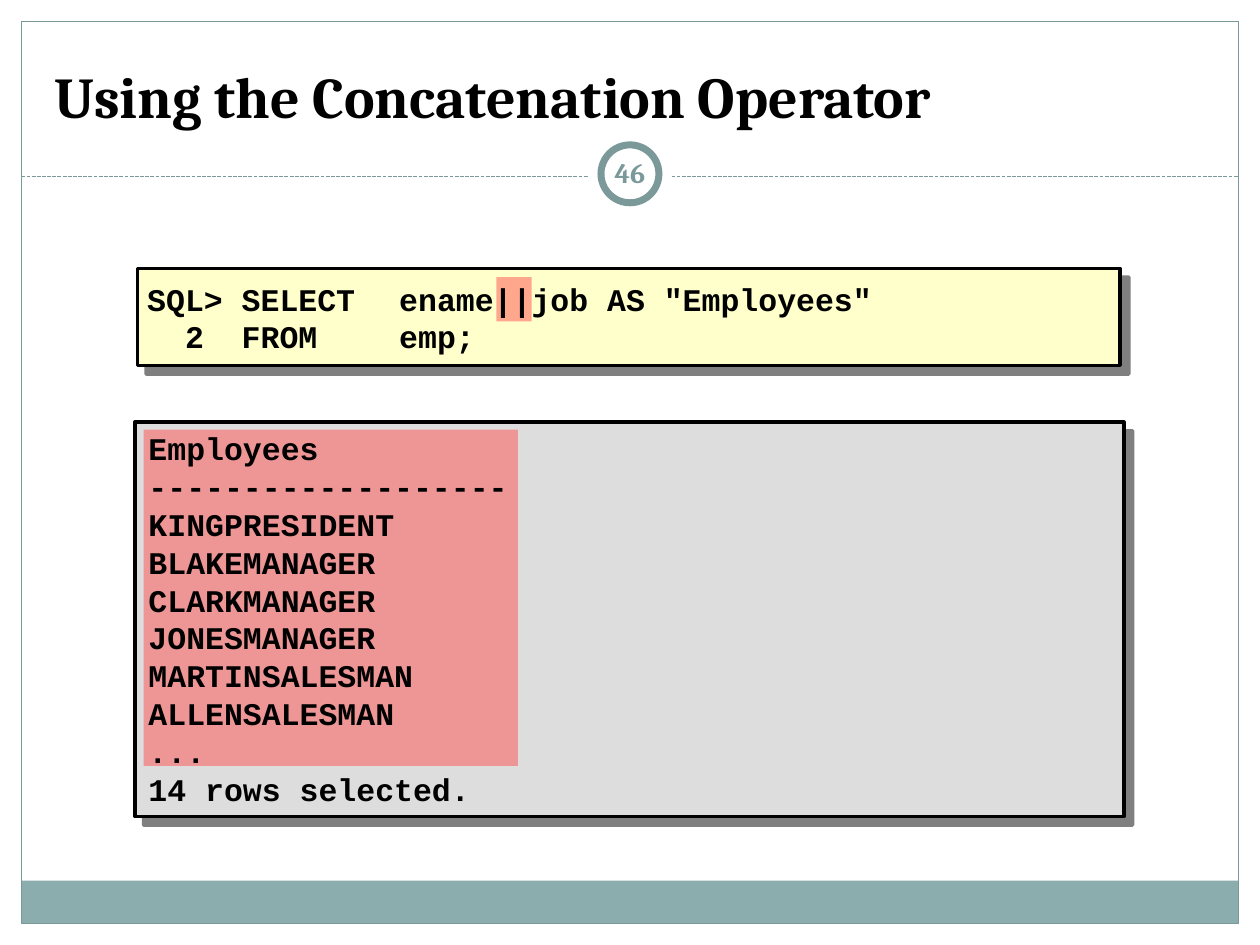
from lxml.etree import SubElement
from pptx import Presentation
from pptx.dml.color import RGBColor
from pptx.enum.dml import MSO_LINE
from pptx.enum.shapes import MSO_CONNECTOR, MSO_SHAPE
from pptx.enum.text import MSO_ANCHOR, PP_ALIGN
from pptx.oxml.ns import qn
from pptx.util import Inches, Pt

TITLE = "Using the Concatenation Operator"
NUMBER = "46"
QUERY = ['SQL> SELECT\tename||job AS "Employees"', "  2  FROM\temp;"]
RESULT = [
    "Employees", "-" * 19, "KINGPRESIDENT", "BLAKEMANAGER", "CLARKMANAGER",
    "JONESMANAGER", "MARTINSALESMAN", "ALLENSALESMAN", "...", "14 rows selected.",
]
COLORS = {
    "ink": "000000", "paper": "FFFFFF", "frame": "7C999A", "band": "8CADAE",
    "query": "FFFFCC", "result": "DDDDDD", "mark": "FF5050",
}
W, H = 10, 7.5
EDGE = 0.17
RULE_Y = 1.4
CENTER_Y = 1.38
PANELS = [("query", (1.09, 2.13, 7.8, 0.77)), ("result", (1.07, 3.35, 7.85, 3.13))]
MARKS = [(3.94, 2.2, 0.28, 0.35), (1.14, 3.41, 2.97, 2.67)]


def color(name):
    return RGBColor.from_string(COLORS[name])


def box(at):
    return [Inches(v) for v in at]


def add_shape(s, at, fill=None, line=None, width=0.75, kind=MSO_SHAPE.RECTANGLE):
    sp = s.shapes.add_shape(kind, *box(at))
    sp.shadow.inherit = False
    if fill:
        sp.fill.solid()
        sp.fill.fore_color.rgb = color(fill)
    else:
        sp.fill.background()
    if line:
        sp.line.color.rgb = color(line)
        sp.line.width = Pt(width)
    else:
        sp.line.fill.background()
    return sp


def add_circle(s, size, **style):
    at = (W / 2 - size / 2, CENTER_Y - size / 2, size, size)
    return add_shape(s, at, kind=MSO_SHAPE.OVAL, **style)


def add_shadow(sp):
    effects = sp._element.spPr.find(qn("a:effectLst"))
    shadow = SubElement(effects, qn("a:outerShdw"), dist=str(Pt(7.1)),
                        dir="2700000", algn="ctr", rotWithShape="0")
    rgb = SubElement(shadow, qn("a:srgbClr"), val=COLORS["ink"])
    SubElement(rgb, qn("a:alpha"), val="50000")


def set_text(sp, lines, size=18, font="Courier New", ink="ink", align=PP_ALIGN.LEFT,
             anchor=MSO_ANCHOR.TOP, inset=(0.1, 0.05), spacing=None, tab=None):
    tf = sp.text_frame
    tf.word_wrap = True
    tf.vertical_anchor = anchor
    tf.margin_left = tf.margin_right = Inches(inset[0])
    tf.margin_top = tf.margin_bottom = Inches(inset[1])
    for i, line in enumerate(lines):
        p = tf.paragraphs[0] if i == 0 else tf.add_paragraph()
        p.alignment = align
        if spacing:
            p.line_spacing = Pt(spacing)
        if tab:
            tabs = SubElement(p._p.get_or_add_pPr(), qn("a:tabLst"))
            SubElement(tabs, qn("a:tab"), pos=str(Inches(tab)), algn="l")
        r = p.add_run()
        r.text = line
        r.font.name, r.font.size, r.font.bold = font, Pt(size), True
        r.font.color.rgb = color(ink)


def add_text(s, at, lines, **style):
    set_text(s.shapes.add_textbox(*box(at)), lines, **style)


def main():
    prs = Presentation()
    prs.slide_width, prs.slide_height = Inches(W), Inches(H)
    s = prs.slides.add_slide(prs.slide_layouts[5])

    add_shape(s, (EDGE, 6.99, W - 2 * EDGE, 0.34), fill="band")
    add_shape(s, (EDGE, EDGE, W - 2 * EDGE, H - 2 * EDGE), line="frame")
    rule = s.shapes.add_connector(
        MSO_CONNECTOR.STRAIGHT, *box((EDGE, RULE_Y, W - EDGE, RULE_Y)))
    rule.line.color.rgb = color("frame")
    rule.line.width = Pt(0.75)
    rule.line.dash_style = MSO_LINE.SQUARE_DOT
    SubElement(rule._element.spPr, qn("a:effectLst"))
    add_circle(s, 0.67, fill="paper")
    add_circle(s, 0.46, fill="paper", line="frame", width=4)

    title = s.shapes.title
    title.left, title.top, title.width, title.height = box((0.33, 0.25, 9.33, 0.83))
    set_text(title, [TITLE], size=33, font="Cambria", anchor=MSO_ANCHOR.BOTTOM)

    for fill, at in PANELS:
        add_shadow(add_shape(s, at, fill=fill, line="ink", width=2))
    for at in MARKS:
        mark = add_shape(s, at, fill="mark")
        rgb = mark._element.spPr.find(qn("a:solidFill")).find(qn("a:srgbClr"))
        SubElement(rgb, qn("a:alpha"), val="50000")

    add_text(s, (1.07, 2.12, 7.82, 0.8), QUERY, spacing=21.6, tab=2,
             anchor=MSO_ANCHOR.MIDDLE)
    add_text(s, (1.08, 3.36, 7.82, 3.1), RESULT, spacing=21.6)
    add_text(s, (4.75, 1.13, 0.5, 0.48), [NUMBER], size=16, font="Cambria",
             ink="frame", align=PP_ALIGN.CENTER, anchor=MSO_ANCHOR.MIDDLE,
             inset=(0.05, 0.05))
    prs.save("out.pptx")


if __name__ == "__main__":
    main()
